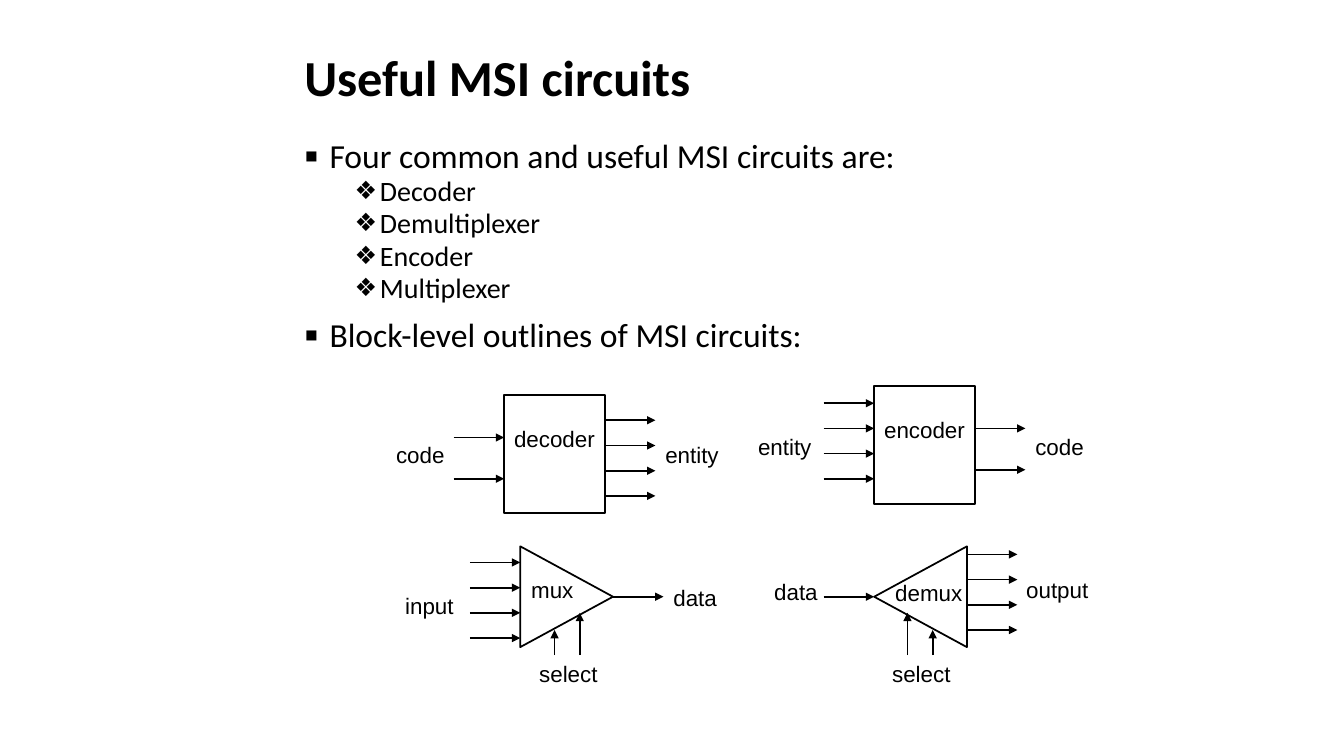
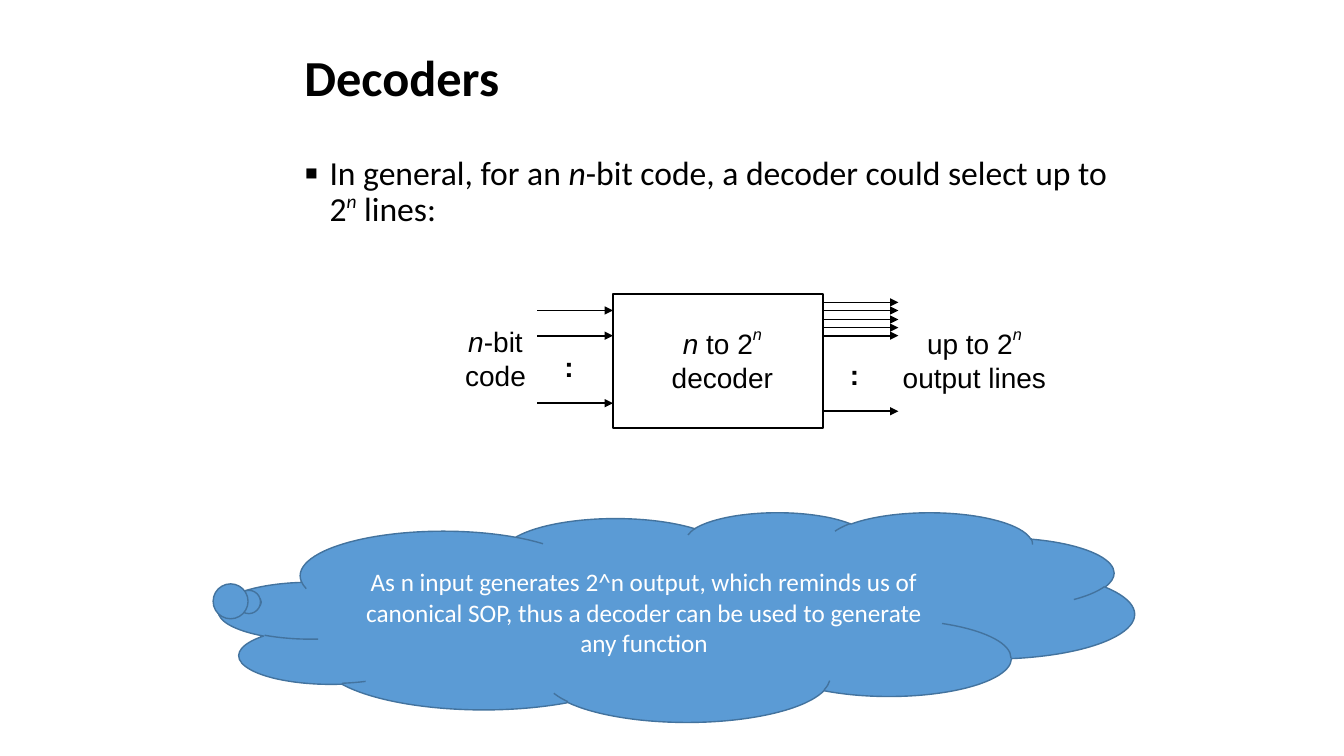
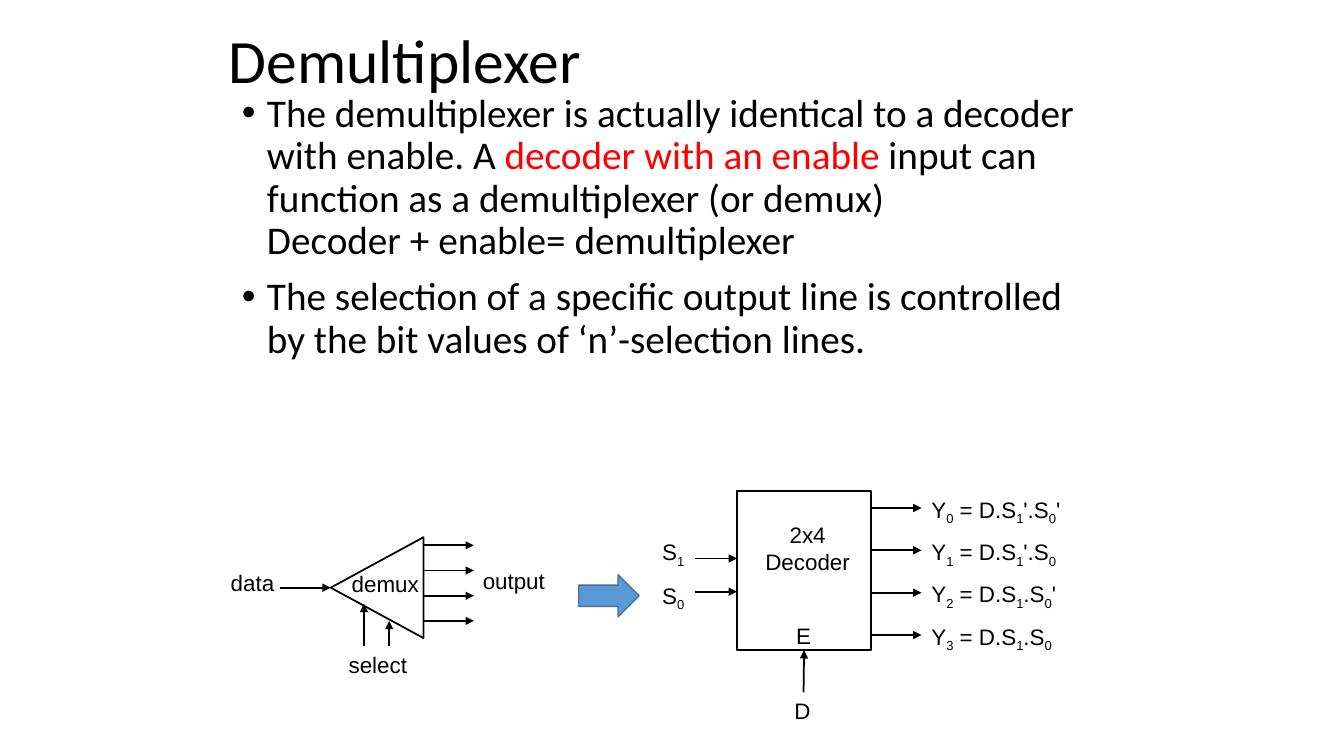
from lxml import etree
from pptx import Presentation
from pptx.dml.color import RGBColor
from pptx.enum.shapes import MSO_CONNECTOR, MSO_SHAPE
from pptx.enum.text import MSO_ANCHOR, PP_ALIGN
from pptx.oxml.ns import qn
from pptx.util import Inches, Pt

LINE = MSO_CONNECTOR.STRAIGHT
RECT, TRI = MSO_SHAPE.RECTANGLE, MSO_SHAPE.ISOSCELES_TRIANGLE
CLOUD, ARROW = MSO_SHAPE.CLOUD_CALLOUT, MSO_SHAPE.RIGHT_ARROW
TOP, MIDDLE = MSO_ANCHOR.TOP, MSO_ANCHOR.MIDDLE
LEFT, CENTER = PP_ALIGN.LEFT, PP_ALIGN.CENTER
BLACK, WHITE = RGBColor(0, 0, 0), RGBColor(255, 255, 255)
RED = RGBColor(255, 0, 0)
BLUE, NAVY = RGBColor(0x5B, 0x9B, 0xD5), RGBColor(0x43, 0x73, 0x9E)
HEAD, LABEL = "Calibri", "Arial"

# Run styles
ITAL, SUB = {"i": True}, {"base": -25}
POWER, RAISED = {"i": True, "base": 40}, {"i": True, "base": 50}
MARK = {"color": RED}

# List levels: bullet, bullet size %, left indent, space before, text size
MAIN = ("▪", 120, 0.25, 10, 24)
ITEM = ("❖", 90, 0.75, 1.5, 20)
DOT = ("•", 100, 0.25, 10, 28)

# Content: a run is a string or a (string, style) pair
CIRCUITS = [
    (MAIN, ["Four common and useful MSI circuits are:"]),
    (ITEM, ["Decoder"]),
    (ITEM, ["Demultiplexer"]),
    (ITEM, ["Encoder"]),
    (ITEM, ["Multiplexer"]),
    (MAIN, ["Block-level outlines of MSI circuits:"]),
]
GENERAL = [
    (MAIN, ["In general, for an ", ("n", ITAL),
            "-bit code, a decoder could select up to 2", ("n", POWER), " lines:"]),
]
DEMUX = [
    (DOT, ["The demultiplexer is actually identical to a decoder with enable. A ",
           ("decoder with an enable", MARK),
           " input can function as a demultiplexer (or demux)\n"
           "Decoder + enable= demultiplexer"]),
    (DOT, ["The selection of a specific output line is controlled by the bit "
           "values of ‘n’-selection lines."]),
]
# Box, input heights, output heights (from the box top)
PAIR, FOUR = (0.42, 0.83), (0.25, 0.5, 0.75, 1)
DECODER = ((5, 3.92, 1, 1.17), PAIR, FOUR)
ENCODER = ((8.67, 3.83, 1, 1.17), [y - 0.08 for y in FOUR], PAIR)
GENERIC = ((6.08, 2.92, 2.08, 1.33), (0.16, 0.41, 1.08),
           (0.08, 0.16, 0.25, 0.33, 0.41, 1.16))
ENABLED = ((7.31, 4.87, 1.33, 1.58), (0.67, 1), [0.17 + 0.42 * k for k in range(4)])

# Labels: left, top, width, text
NAMES = [
    (5, 4.17, 1.08, "decoder"), (3.83, 4.33, 0.75, "code"), (6.5, 4.33, 0.75, "entity"),
    (8.67, 4.08, 1.08, "encoder"), (10.17, 4.25, 0.75, "code"),
    (7.42, 4.25, 0.75, "entity"),
    (5.17, 5.67, 0.75, "mux"), (6.58, 5.75, 0.75, "data"),
    (3.92, 5.83, 0.75, "input"), (5.25, 6.5, 0.83, "select"),
]
# Demultiplexer labels, measured from the tip of its triangle
PARTS = [
    (0.11, -0.22, 0.92, "demux"), (-1.09, -0.23, 0.75, "data"),
    (1.41, -0.25, 0.83, "output"), (0.08, 0.58, 0.83, "select"),
]
CAPTIONS = [
    (4.33, 1.17, [[("n", ITAL), "-bit"], ["code"]]),
    (6.33, 1.67, [[("n", ITAL), " to 2", ("n", RAISED)], ["decoder"]]),
    (8.83, 1.67, [["up to 2", ("n", RAISED)], ["output lines"]]),
]
NOTE = ("As n input generates 2^n output, which reminds us of canonical SOP, "
        "thus a decoder can be used to generate any function")


def write(para, runs, size, font, color=BLACK, bold=False):
    for item in runs:
        text, style = (item, {}) if isinstance(item, str) else item
        for k, part in enumerate(text.split("\n")):
            if k:
                para.add_line_break()
            run = para.add_run()
            run.text = part
            face = run.font
            face.name, face.size, face.bold = font, Pt(size), bold
            face.italic = style.get("i", False)
            face.color.rgb = style.get("color", color)
            if "base" in style:
                face._rPr.set("baseline", str(style["base"] * 1000))


def frame(slide, box, anchor=TOP):
    tf = slide.shapes.add_textbox(*map(Inches, box)).text_frame
    tf.word_wrap, tf.vertical_anchor = True, anchor
    return tf


def paras(tf, count):
    return [tf.paragraphs[0]] + [tf.add_paragraph() for _ in range(count - 1)]


def title(slide, text, box=(2.92, 0.17, 8.5, 1.25), size=36, bold=True):
    para = frame(slide, box, MIDDLE).paragraphs[0]
    para.line_spacing = 0.9
    write(para, [text], size, HEAD, bold=bold)


def body(slide, box, items):
    for para, (level, runs) in zip(paras(frame(slide, box), len(items)), items):
        char, scale, left, gap, size = level
        para.line_spacing, para.space_before = 0.9, Pt(gap)
        props = para._p.get_or_add_pPr()
        props.set("marL", str(Inches(left)))
        props.set("indent", str(Inches(-0.25)))
        for tag, key, val in (("a:buSzPct", "val", str(scale * 1000)),
                              ("a:buFont", "typeface", LABEL),
                              ("a:buChar", "char", char)):
            etree.SubElement(props, qn(tag)).set(key, val)
        write(para, runs, size, HEAD)


def label(slide, x, y, w, lines, h=0.37, size=16, align=LEFT, gap=0, bold=False):
    if isinstance(lines, str):
        lines = [[lines]]
    for para, runs in zip(paras(frame(slide, (x, y, w, h)), len(lines)), lines):
        para.alignment, para.space_before = align, Pt(gap)
        write(para, runs, size, LABEL, bold=bold)


def shape(slide, kind, box, width=1.5, line=BLACK, fill=None):
    form = slide.shapes.add_shape(kind, *map(Inches, box))
    form.shadow.inherit = False
    form.line.color.rgb, form.line.width = line, Pt(width)
    if fill is None:
        form.fill.background()
    else:
        form.fill.solid()
        form.fill.fore_color.rgb = fill
    return form


def arrow(slide, x1, y1, x2, y2):
    link = slide.shapes.add_connector(LINE, *map(Inches, (x1, y1, x2, y2)))
    link.line.color.rgb, link.line.width = BLACK, Pt(1.25)
    etree.SubElement(link.line._get_or_add_ln(), qn("a:tailEnd")).set("type", "triangle")
    etree.SubElement(link._element.spPr, qn("a:effectLst"))
    return link


def block(slide, box, ins, outs, reach=0.5, out=0.5):
    x, y, w, _ = box
    form = shape(slide, RECT, box)
    for dy in ins:
        arrow(slide, x - reach, y + dy, x, y + dy)
    for dy in outs:
        arrow(slide, x + w, y + dy, x + w + out, y + dy)
    return form


def wedge(slide, x, y, side):
    """Triangle with its tip at x, y; side is 1 for a demux and -1 for a mux."""
    mid, base, far = x + side * 0.46, x + side * 0.92, x + side * 1.42
    form = shape(slide, TRI, (mid - 0.5, y - 0.46, 1, 0.92), 1.25)
    form.rotation = -90 * side % 360
    for k in range(4):
        if side > 0:
            row = y - 0.42 + 0.25 * k
            arrow(slide, base, row, far, row)
        else:
            row = y - 0.34 + 0.25 * k
            arrow(slide, far, row, base, row)
    ends = (x - 0.5, x) if side > 0 else (x, x + 0.5)
    arrow(slide, ends[0], y, ends[1], y)
    for dx, dy in ((0.33, 0.16), (0.58, 0.33)):
        arrow(slide, x + side * dx, y + 0.58, x + side * dx, y + dy)


def demux(slide, x, y):
    wedge(slide, x, y, 1)
    for dx, dy, w, text in PARTS:
        label(slide, x + dx, y + dy, w, text)


def product(k):
    """Output k as runs, with a prime after each select bit that is 0."""
    high, low = ("" if k & bit else "'" for bit in (2, 1))
    runs = ["Y", (str(k), SUB), " = D.S", ("1", SUB), high + ".S", ("0", SUB)]
    return runs + [low] if low else runs


def main():
    prs = Presentation()
    prs.slide_width, prs.slide_height = Inches(13.33), Inches(7.5)
    first, second, third = (prs.slides.add_slide(prs.slide_layouts[6]) for _ in range(3))

    # Useful MSI circuits
    title(first, "Useful MSI circuits")
    body(first, (2.92, 1.33, 8.17, 2.58), CIRCUITS)
    block(first, *DECODER)
    block(first, *ENCODER)
    wedge(first, 6.08, 5.92, -1)
    for name in NAMES:
        label(first, *name)
    demux(first, 8.67, 5.92)

    # Decoders
    title(second, "Decoders")
    body(second, (2.92, 1.5, 8.5, 0.92), GENERAL)
    block(second, *GENERIC, reach=0.75, out=0.75)
    for x, y in ((5.5, 3.42), (8.33, 3.5)):
        label(second, x, y, 0.33, ":", 0.43, 20, bold=True)
    for x, w, lines in CAPTIONS:
        label(second, x, 3.17, w, lines, 0.77, 20, CENTER)
    cloud = shape(second, CLOUD, (2.17, 5.08, 9.08, 2.08), 1, NAVY, BLUE)
    cloud.adjustments[0], cloud.adjustments[1] = -0.46, -0.07
    tf = cloud.text_frame
    tf.word_wrap, tf.vertical_anchor = True, MIDDLE
    tf.paragraphs[0].alignment = CENTER
    write(tf.paragraphs[0], [NOTE], 18, HEAD, WHITE)

    # Demultiplexer
    title(third, "Demultiplexer", (2.17, 0.17, 8.5, 0.92), 44, False)
    body(third, (2.3, 0.88, 8.5, 4.5), DEMUX)
    demux(third, 3.28, 5.83)
    shape(third, ARROW, (5.74, 5.7, 0.6, 0.42), 1, NAVY, BLUE)
    chip = block(third, *ENABLED, reach=0.42)
    arrow(third, 7.97, 6.87, 7.97, 6.45).end_connect(chip, 2)
    label(third, 7.47, 5.12, 1.08, "2x4 Decoder", 0.64, align=CENTER)
    label(third, 7.76, 6.12, 0.42, "E", align=CENTER)
    label(third, 7.78, 6.87, 0.42, "D")
    label(third, 6.47, 5.29, 0.5, [["S", (bit, SUB)] for bit in "10"], 0.77, gap=9.5)
    for k in range(4):
        label(third, 9.14, 4.87 + 0.42 * k, 1.83, [product(k)])

    prs.save("out.pptx")


if __name__ == "__main__":
    main()
